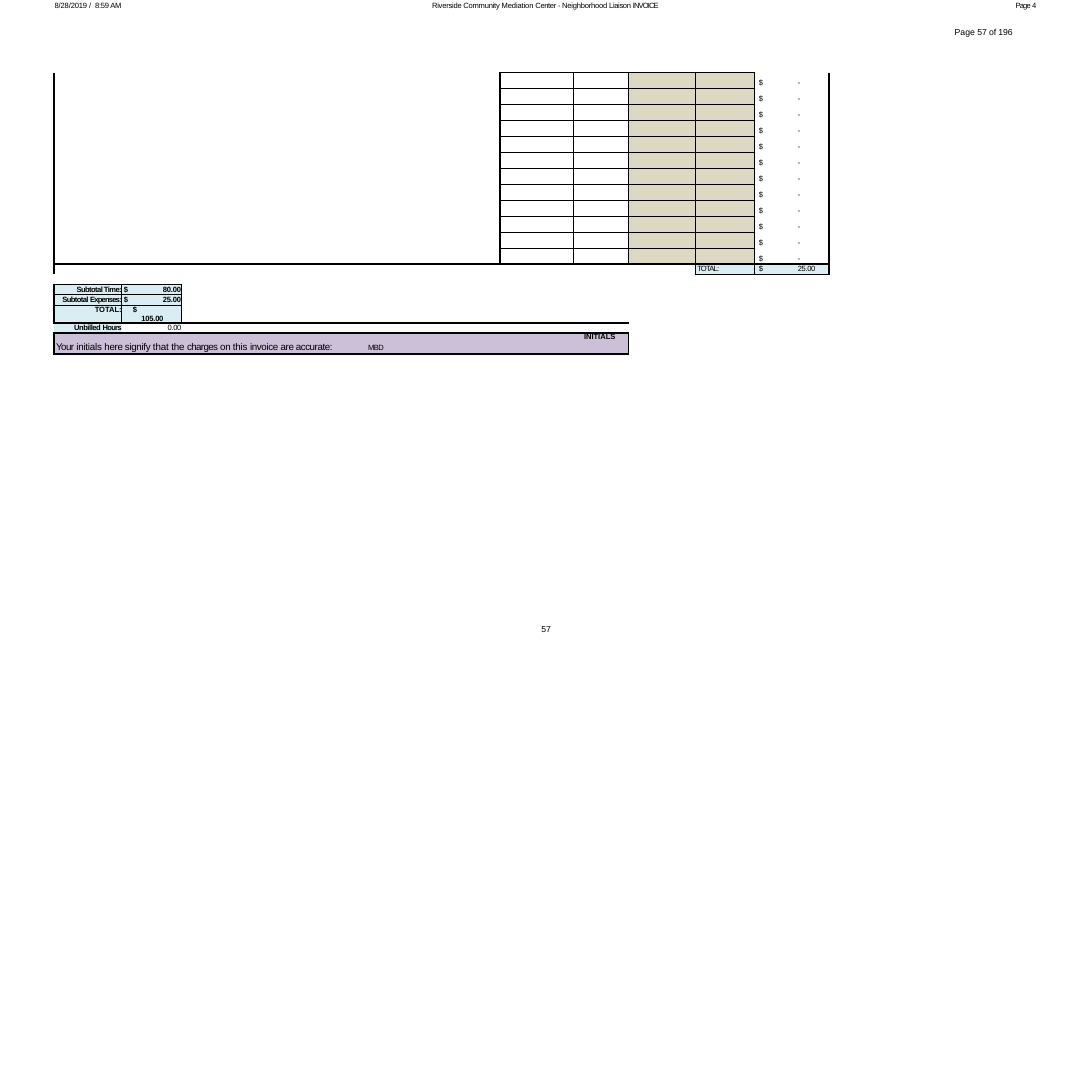
from dataclasses import dataclass

from lxml import etree
from pptx import Presentation
from pptx.dml.color import RGBColor
from pptx.enum.text import MSO_AUTO_SIZE, PP_ALIGN
from pptx.oxml.ns import qn
from pptx.util import Inches, Pt

LEFT, CENTER, RIGHT = PP_ALIGN.LEFT, PP_ALIGN.CENTER, PP_ALIGN.RIGHT
FIT_SHAPE = MSO_AUTO_SIZE.SHAPE_TO_FIT_TEXT
PLAIN_TABLE_STYLE = "{2D5ABB26-0587-4C30-8999-92F81FD0307C}"


@dataclass(frozen=True)
class Theme:
    font: str = "Arial"
    ink: str = "000000"
    tan: str = "DDD8C3"
    blue: str = "D9EDF3"
    purple: str = "CCC0D8"
    small: float = 7
    page: float = 8
    notice: float = 9
    thin: float = 0.75
    thick: float = 1.5


THEME = Theme()
THIN, THICK = THEME.thin, THEME.thick


def write(paragraph, runs, size=THEME.small, bold=False, align=LEFT,
          indent=0, leading=None, tab=None):
    """Fill a paragraph with (text, letter spacing) runs."""
    properties = paragraph._p.get_or_add_pPr()
    properties.set("marL", str(Inches(indent)))
    properties.set("indent", "0")
    if tab:
        tabs = etree.SubElement(properties, qn("a:tabLst"))
        etree.SubElement(tabs, qn("a:tab"), pos=str(Inches(tab)), algn="l")
    paragraph.alignment = align
    if leading:
        paragraph.line_spacing = Pt(leading)
    for text, spacing in runs:
        run = paragraph.add_run()
        run.text = text
        run.font.name = THEME.font
        run.font.size = Pt(size)
        run.font.bold = bold
        run.font.color.rgb = RGBColor.from_string(THEME.ink)
        run._r.get_or_add_rPr().set("spc", str(round(spacing * 100)))


def style_cell(cell, fill=None, **borders):
    """Set the fill and the border widths, keyed L, R, T and B."""
    properties = cell._tc.get_or_add_tcPr()
    for side in "LRTB":
        if side in borders:
            line = etree.SubElement(properties, qn(f"a:ln{side}"), w=str(Pt(borders[side])))
            paint = etree.SubElement(line, qn("a:solidFill"))
            etree.SubElement(paint, qn("a:srgbClr"), val=THEME.ink)
    if fill:
        cell.fill.solid()
        cell.fill.fore_color.rgb = RGBColor.from_string(fill)
    else:
        cell.fill.background()


presentation = Presentation()
presentation.slide_width, presentation.slide_height = Inches(14), Inches(13.9)
slide = presentation.slides.add_slide(presentation.slide_layouts[6])

# Page header and page numbers
page_texts = [
    (6.91, 8, 0.18, 0.15, 0, 0.03, THEME.page, [("57", 0)]),
    (0.69, 0, 0.88, 0.15, 0.01, 0.01, THEME.small,
     [("8/28/2019 ", -0.1), ("/ ", 0.8), ("8:59 AM", -0.2)]),
    (5.53, 0, 2.94, 0.15, 0.01, 0.01, THEME.small,
     [("Riverside Community ", -0.2), ("Mediation ", -0.1), ("Center ", -0.3),
      ("- Neighborhood ", -0.2), ("Liaison ", -0.3), ("INVOICE", -0.8)]),
    (13.01, 0, 0.29, 0.15, 0.01, 0.01, THEME.small, [("Page ", -0.7), ("4", -0.3)]),
    (12.23, 0.34, 0.78, 0.16, 0.01, 0.01, THEME.page, [("Page ", 0), ("57 of 196", -0.1)]),
]
for left, top, width, height, inset, indent, size, runs in page_texts:
    box = slide.shapes.add_textbox(Inches(left), Inches(top), Inches(width), Inches(height))
    frame = box.text_frame
    frame.word_wrap = True
    frame.auto_size = FIT_SHAPE
    frame.margin_left = frame.margin_right = frame.margin_bottom = 0
    frame.margin_top = Inches(inset)
    write(frame.paragraphs[0], runs, size, indent=indent)

# Empty grids for the expenses and the summary
tables = []
for top, widths, heights in [
    (0.93, [5.72, 0.94, 0.71, 0.86, 0.75, 0.96], [2.46 / 12] * 12 + [0.13]),
    (3.65, [0.87, 0.77, 5.73], [0.13] * 4 + [0.27]),
]:
    table = slide.shapes.add_table(
        len(heights), len(widths), Inches(0.69), Inches(top),
        Inches(sum(widths)), Inches(sum(heights))).table
    table.first_row = table.horz_banding = False
    table._tbl.tblPr.find(qn("a:tableStyleId")).text = PLAIN_TABLE_STYLE
    for column, width in zip(table.columns, widths):
        column.width = Inches(width)
    for row, height in zip(table.rows, heights):
        row.height = Inches(height)
    for cell in table.iter_cells():
        cell.margin_left = cell.margin_right = cell.margin_top = cell.margin_bottom = 0
        etree.SubElement(cell.text_frame.paragraphs[0]._p, qn("a:endParaRPr"),
                         sz=str(THEME.small * 100))
    tables.append(table)
expenses, summary = tables

# Expense lines
expenses.cell(0, 0).merge(expenses.cell(11, 0))
style_cell(expenses.cell(0, 0), L=THICK, R=THICK, B=THICK)
for row in range(12):
    for column, fill in enumerate([None, None, THEME.tan, THEME.tan], start=1):
        style_cell(expenses.cell(row, column), fill,
                   L=THICK if column == 1 else THIN,
                   R=THICK if column == 4 else THIN,
                   T=THIN, B=THICK if row == 11 else THIN)
    amount = expenses.cell(row, 5)
    amount.margin_top = Inches(0.07)
    write(amount.text_frame.paragraphs[0], [("$\t", -0.3), ("-", -0.2)],
          indent=0.06, leading=8.3, tab=0.79)
    style_cell(amount, L=THICK, R=THICK, **({"B": THICK} if row == 11 else {}))

# Expense total
expenses.cell(12, 0).merge(expenses.cell(12, 3))
style_cell(expenses.cell(12, 0), L=THICK, T=THICK, R=THICK)
total_label, total_amount = expenses.cell(12, 4), expenses.cell(12, 5)
write(total_label.text_frame.paragraphs[0], [("TOTAL:", -0.7)], indent=0.02, leading=8.3)
style_cell(total_label, THEME.blue, L=THICK, T=THIN, B=THICK)
write(total_amount.text_frame.paragraphs[0], [("$\t25.00", -0.3)],
      indent=0.06, leading=8.3, tab=0.69)
style_cell(total_amount, THEME.blue, T=THICK, R=THICK, B=THICK)

# Subtotals
summary.cell(0, 2).merge(summary.cell(2, 2))
style_cell(summary.cell(0, 2), L=THICK)
subtotals = [
    ([("Subtotal Time:", -0.5)], "80.00", 0.47),
    ([("Subtotal ", -0.5), ("Expenses:", -0.7)], "25.00", 0.47),
    ([("TOTAL:", 0)], "105.00", 0.42),
]
for row, (label, value, tab) in enumerate(subtotals):
    label_cell, value_cell = summary.cell(row, 0), summary.cell(row, 1)
    edges = {"T": THICK if row == 0 else THIN, "B": THICK if row == 2 else THIN}
    write(label_cell.text_frame.paragraphs[0], label, bold=True, align=RIGHT, leading=8.3)
    style_cell(label_cell, THEME.blue, L=THICK, R=THIN, **edges)
    write(value_cell.text_frame.paragraphs[0], [("$\t", -0.3), (value, -0.2)],
          bold=True, align=CENTER, indent=0.02, leading=8.3, tab=tab)
    style_cell(value_cell, THEME.blue, L=THIN, R=THICK, **edges)

# Unbilled hours
hours_label, hours = summary.cell(3, 0), summary.cell(3, 1)
hours.merge(summary.cell(3, 2))
write(hours_label.text_frame.paragraphs[0], [("Unbilled ", -0.4), ("Hours", -0.6)],
      bold=True, align=RIGHT, leading=8.3)
style_cell(hours_label, THEME.blue, T=THICK, B=THICK)
write(hours.text_frame.paragraphs[0], [("0.00", -0.3)], indent=0.59, leading=8.3)
style_cell(hours, T=THICK, B=THICK)

# Initials
notice = summary.cell(4, 0)
notice.merge(summary.cell(4, 2))
notice.margin_right = Inches(0.17)
write(notice.text_frame.paragraphs[0], [("INITIALS", 0)], bold=True, align=RIGHT, leading=7.8)
statement = notice.text_frame.add_paragraph()
write(statement,
      [("Your ", -0.5), ("initials ", -0.2), ("here signify ", -0.3), ("that the ", -0.1),
       ("charges ", -0.6), ("on this ", -0.2), ("invoice ", -0.3), ("are accurate:\t", -0.4),
       ("MBD", -0.5)],
      THEME.notice, indent=0.03, leading=10.1, tab=6.71)
statement.runs[-1].font.size = Pt(THEME.small)
style_cell(notice, THEME.purple, L=THICK, R=THICK, T=THICK, B=THICK)

presentation.save("out.pptx")
